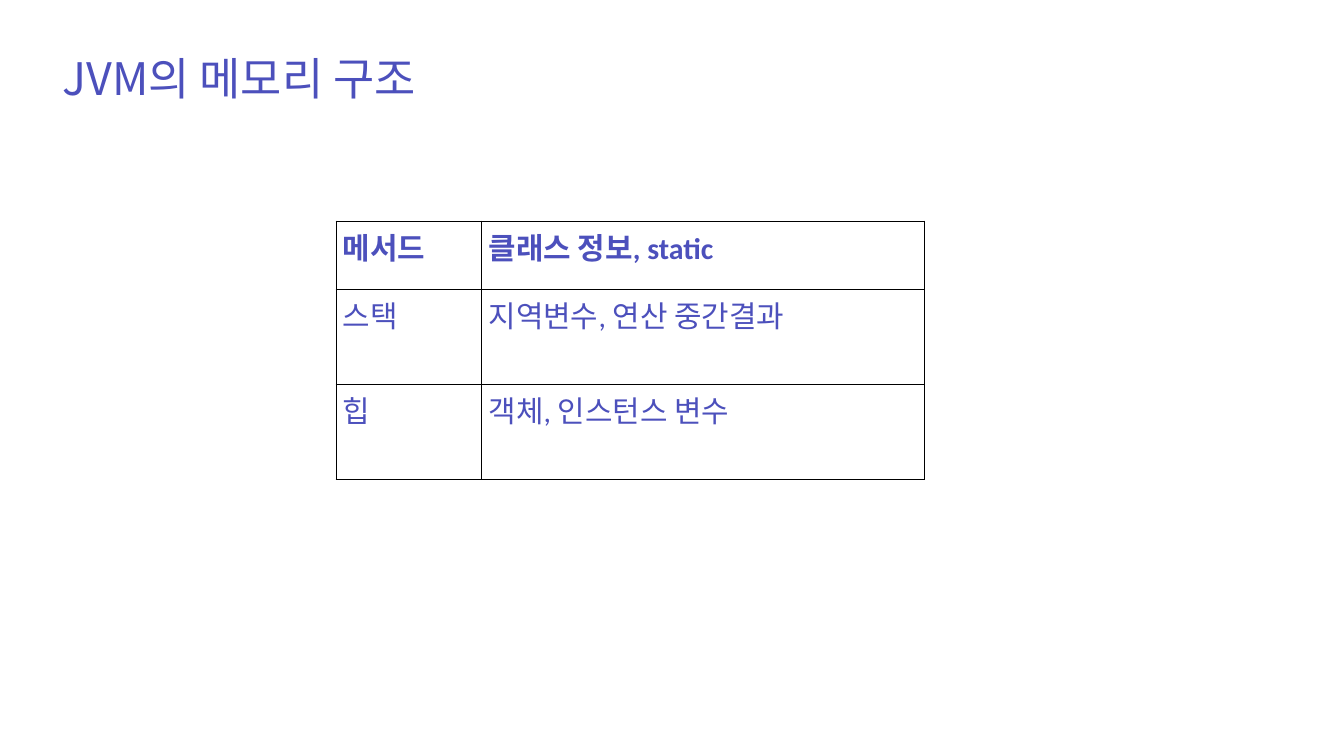
import pptx
import pptx.util
import pptx.dml.color
import pptx.enum.text
import pptx.oxml.ns
import lxml.etree
from pptx.util import Inches

INDIGO = "4C50BC"
BLACK = "000000"
KOREAN_FONT = "Noto Sans CJK KR"


def write_text(frame, text, *, size, font, color=INDIGO, bold=False):
    span = frame.paragraphs[0].add_run()
    span.text = text
    span.font.size = pptx.util.Pt(size)
    span.font.name = font
    span.font.bold = bold
    span.font.color.rgb = pptx.dml.color.RGBColor.from_string(color)
    east_asian = lxml.etree.SubElement(span.font._element, pptx.oxml.ns.qn("a:ea"))
    east_asian.set("typeface", KOREAN_FONT)


def add_borders(cell, color, width):
    """Draw a solid line on all four sides; call before setting the fill."""
    properties = cell._tc.get_or_add_tcPr()
    for side in ("lnL", "lnR", "lnT", "lnB"):
        line = lxml.etree.SubElement(properties, pptx.oxml.ns.qn(f"a:{side}"))
        line.set("w", str(pptx.util.Pt(width)))
        fill = lxml.etree.SubElement(line, pptx.oxml.ns.qn("a:solidFill"))
        lxml.etree.SubElement(fill, pptx.oxml.ns.qn("a:srgbClr")).set("val", color)


deck = pptx.Presentation()
deck.slide_width = Inches(20)
deck.slide_height = Inches(11.25)
page = deck.slides.add_slide(deck.slide_layouts[6])

# Title
title = page.shapes.add_textbox(Inches(0.83), Inches(0.71), Inches(6.5), Inches(0.91))
title.text_frame.word_wrap = True
title.text_frame.auto_size = pptx.enum.text.MSO_AUTO_SIZE.SHAPE_TO_FIT_TEXT
write_text(title.text_frame, "JVM의 메모리 구조", size=48, font=KOREAN_FONT)

# Memory areas and what each one holds
memory_areas = [
    ("메서드", "클래스 정보, static"),
    ("스택", "지역변수, 연산 중간결과"),
    ("힙", "객체, 인스턴스 변수"),
]
column_widths = [2.17, 6.58]
row_heights = [1.02, 1.41, 1.41]

table = page.shapes.add_table(
    len(memory_areas), len(column_widths),
    Inches(5), Inches(3.29), Inches(sum(column_widths)), Inches(sum(row_heights)),
).table
table.horz_banding = False
for column, width in zip(table.columns, column_widths):
    column.width = Inches(width)
for row_index, (row, height) in enumerate(zip(table.rows, row_heights)):
    row.height = Inches(height)
    for cell, text in zip(row.cells, memory_areas[row_index]):
        add_borders(cell, BLACK, 1)
        cell.fill.background()
        write_text(cell.text_frame, text, size=32, font="Calibri", bold=row_index == 0)

deck.save("out.pptx")
